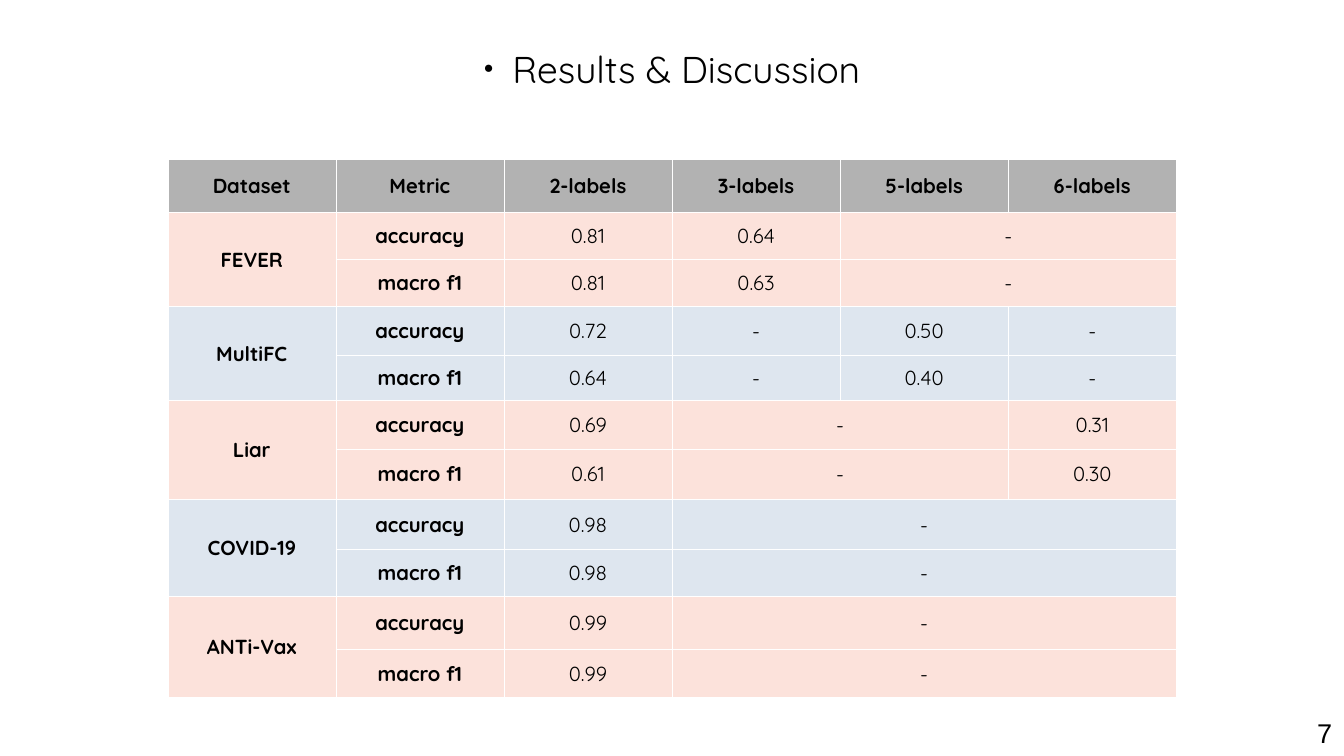
"""Builds the Results & Discussion slide with its table of scores."""
import dataclasses

import lxml.etree
import pptx
import pptx.dml.color
import pptx.enum.text
import pptx.oxml.ns
import pptx.util

Pt = pptx.util.Pt
Align = pptx.enum.text.PP_ALIGN
Anchor = pptx.enum.text.MSO_ANCHOR


@dataclasses.dataclass(frozen=True)
class Theme:
    ink: str = "000000"
    border: str = "FFFFFF"
    header: str = "B2B2B2"
    bands: tuple = ("FCE2DB", "DEE6EF")
    font: str = "Quicksand"
    number_font: str = "Arial"
    title_size: int = 22
    number_size: int = 16
    table_size: int = 12


THEME = Theme()
HEADINGS = ["Dataset", "Metric", "2-labels", "3-labels", "5-labels", "6-labels"]
METRICS = ["accuracy", "macro f1"]
SCORES = {
    "FEVER": [["0.81", "0.64", "-", None], ["0.81", "0.63", "-", None]],
    "MultiFC": [["0.72", "-", "0.50", "-"], ["0.64", "-", "0.40", "-"]],
    "Liar": [["0.69", "-", None, "0.31"], ["0.61", "-", None, "0.30"]],
    "COVID-19": [["0.98", "-", None, None]] * 2,
    "ANTi-Vax": [["0.99", "-", None, None]] * 2,
}
ROW_HEIGHTS = [31.5, 27.5, 28, 29, 26.5, 28.5, 30, 29.5, 27.5, 31.5, 28.5]
COLUMN_WIDTH = 99.25


def rgb(colour):
    return pptx.dml.color.RGBColor.from_string(colour)


def add_xml(parent, tag, **attributes):
    return lxml.etree.SubElement(parent, pptx.oxml.ns.qn(tag), attributes)


def write(frame, text, size, font=THEME.font, bold=False, align=Align.CENTER):
    paragraph = frame.paragraphs[0]
    paragraph.alignment = align
    run = paragraph.add_run()
    run.text = text
    run.font.size = Pt(size)
    run.font.name = font
    run.font.bold = bold
    run.font.color.rgb = rgb(THEME.ink)


def add_bullet(paragraph, indent):
    properties = paragraph._p.get_or_add_pPr()
    properties.set("marL", str(Pt(indent)))
    properties.set("indent", str(Pt(-indent)))
    colour = add_xml(properties, "a:buClr")
    add_xml(colour, "a:srgbClr", val=THEME.ink)
    add_xml(properties, "a:buSzPct", val="45000")
    add_xml(properties, "a:buFont", typeface=THEME.number_font)
    add_xml(properties, "a:buChar", char="●")


def add_title(slide, text):
    title = slide.shapes.title
    title.left, title.top, title.width, title.height = Pt(180.7), Pt(21.6), Pt(432), Pt(37.4)
    title.text_frame.vertical_anchor = Anchor.MIDDLE
    add_bullet(title.text_frame.paragraphs[0], 17)
    write(title.text_frame, text, THEME.title_size)


def add_page_number(slide, text):
    number = slide.shapes.add_textbox(Pt(491.8), Pt(419.8), Pt(301.7), Pt(26.6))
    number.text_frame.word_wrap = True
    write(number.text_frame, text, THEME.number_size, THEME.number_font, align=Align.RIGHT)


def style_cell(cell, fill):
    properties = cell._tc.get_or_add_tcPr()
    for side in ("a:lnL", "a:lnR", "a:lnT", "a:lnB"):
        line = add_xml(properties, side, w=str(Pt(0.06)))
        add_xml(add_xml(line, "a:solidFill"), "a:srgbClr", val=THEME.border)
    cell.fill.solid()
    cell.fill.fore_color.rgb = rgb(fill)
    cell.vertical_anchor = Anchor.MIDDLE


def fill_row(table, row, texts, fill, bold_columns):
    for column, text in enumerate(texts):
        cell = table.cell(row, column)
        style_cell(cell, fill)
        if text is None:
            continue
        write(cell.text_frame, text, THEME.table_size, bold=column < bold_columns)
        last = column
        while column > 0 and last + 1 < len(texts) and texts[last + 1] is None:
            last += 1
        if last > column:
            cell.merge(table.cell(row, last))


def add_score_table(slide):
    rows, columns = len(ROW_HEIGHTS), len(HEADINGS)
    table = slide.shapes.add_table(
        rows, columns, Pt(99), Pt(94), Pt(columns * COLUMN_WIDTH), Pt(sum(ROW_HEIGHTS))
    ).table
    table.horz_banding = False
    for column in table.columns:
        column.width = Pt(COLUMN_WIDTH)
    for row, height in zip(table.rows, ROW_HEIGHTS):
        row.height = Pt(height)
    fill_row(table, 0, HEADINGS, THEME.header, columns)
    for group, (dataset, scores) in enumerate(SCORES.items()):
        first = 1 + group * len(METRICS)
        band = THEME.bands[group % len(THEME.bands)]
        for offset, (metric, values) in enumerate(zip(METRICS, scores)):
            label = dataset if offset == 0 else None
            fill_row(table, first + offset, [label, metric, *values], band, 2)
        table.cell(first, 0).merge(table.cell(first + len(METRICS) - 1, 0))


def main():
    deck = pptx.Presentation()
    deck.slide_width, deck.slide_height = Pt(793.44), Pt(446.4)
    slide = deck.slides.add_slide(deck.slide_layouts[5])
    add_title(slide, "Results & Discussion")
    add_page_number(slide, "7")
    add_score_table(slide)
    deck.save("out.pptx")


if __name__ == "__main__":
    main()
